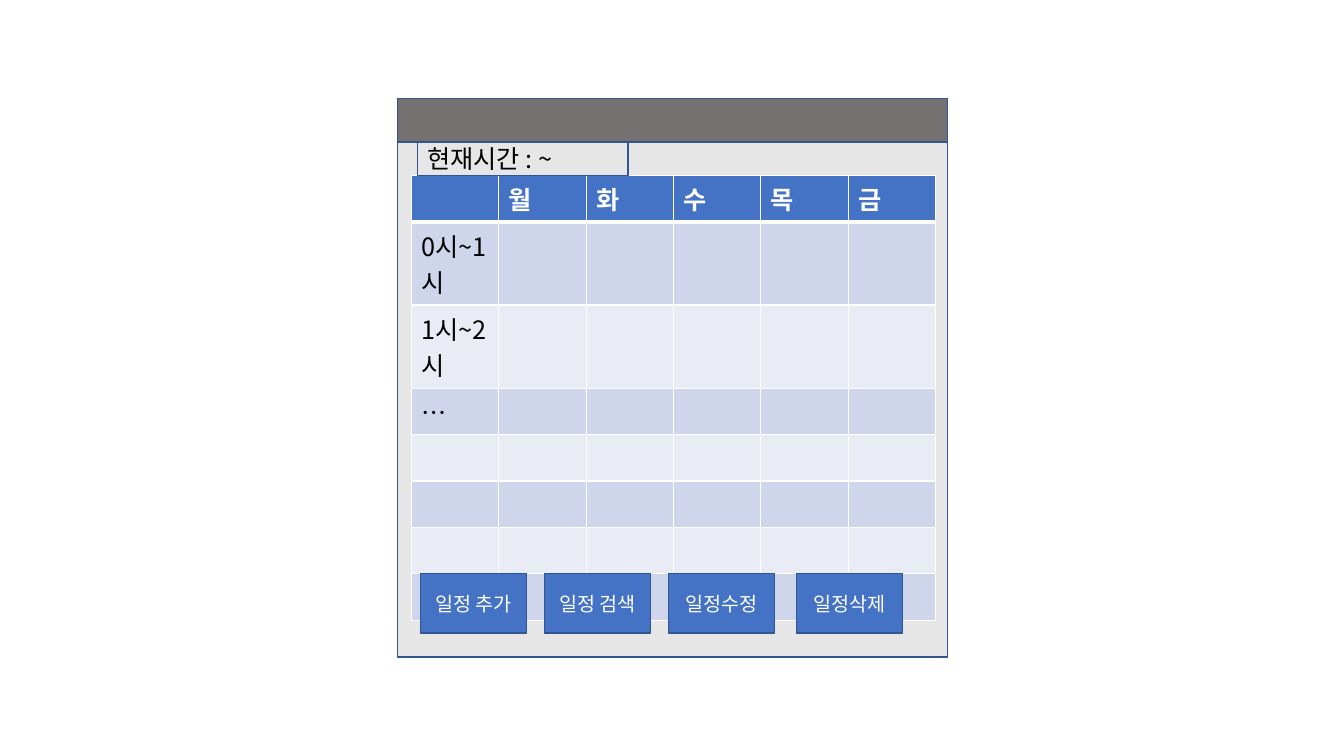
from lxml import etree
from pptx import Presentation
from pptx import util as u
from pptx.dml.color import RGBColor
from pptx.enum import shapes, text
from pptx.oxml.ns import qn

FONT = "Noto Sans CJK KR"
WHITE, BLACK, BLUE, EDGE = "FFFFFF", "000000", "4472C4", "325491"
PANEL, TITLE_BAR = "E7E6E6", "767171"
BANDS = ["CFD5EA", "E9EBF5"]
DAYS = ["", "월", "화", "수", "목", "금"]
HOURS = ["0시~1시", "1시~2시", "…", "", "", "", ""]
ROW_HEIGHTS = [0.45, 0.82, 0.82] + [0.46] * 5
BUTTONS = [("일정 추가", 0.23), ("일정 검색", 1.46), ("일정수정", 2.69), ("일정삭제", 3.96)]


def color(value):
    return RGBColor.from_string(value)


def write(frame, words, size=18, ink=BLACK, bold=False, align=text.PP_ALIGN.LEFT):
    para = frame.paragraphs[0]
    para.alignment = align
    span = para.add_run()
    span.text = words
    span.font.size = u.Pt(size)
    span.font.bold = bold
    span.font.name = FONT
    span.font.color.rgb = color(ink)
    etree.SubElement(span.font._element, qn("a:ea"), typeface=FONT)


def add_box(page, box, fill, words="", **style):
    shape = page.shapes.add_shape(shapes.MSO_SHAPE.RECTANGLE, *map(u.Inches, box))
    shape.shadow.inherit = False
    shape.fill.solid()
    shape.fill.fore_color.rgb = color(fill)
    shape.line.color.rgb = color(EDGE)
    shape.line.width = u.Pt(1)
    if words:
        shape.text_frame.word_wrap = True
        shape.text_frame.vertical_anchor = text.MSO_ANCHOR.MIDDLE
        write(shape.text_frame, words, **style)


def set_borders(cell, **widths):
    props = cell._tc.get_or_add_tcPr()
    for side in "LRTB":
        width = u.Pt(widths.get(side, 1))
        line = etree.SubElement(props, qn(f"a:ln{side}"), w=str(width))
        fill = etree.SubElement(line, qn("a:solidFill"))
        etree.SubElement(fill, qn("a:srgbClr"), val=WHITE)


def add_timetable(page, left, top, width):
    rows = [DAYS] + [[hour] + [""] * (len(DAYS) - 1) for hour in HOURS]
    frame = page.shapes.add_table(
        len(rows), len(DAYS), *map(u.Inches, (left, top, width, sum(ROW_HEIGHTS))))
    table = frame.table
    for column in table.columns:
        column.width = u.Inches(width / len(DAYS))
    for r, (values, height) in enumerate(zip(rows, ROW_HEIGHTS)):
        table.rows[r].height = u.Inches(height)
        header = r == 0
        for c, value in enumerate(values):
            cell = table.cell(r, c)
            set_borders(cell, B=3 if header else 1, T=3 if r == 1 else 1)
            cell.fill.solid()
            cell.fill.fore_color.rgb = color(BLUE if header else BANDS[(r - 1) % 2])
            if value:
                write(cell.text_frame, value, ink=WHITE if header else BLACK, bold=header)


def add_buttons(page, left, top):
    for words, offset in BUTTONS:
        add_box(page, (left + offset, top, 1.05, 0.59), BLUE, words,
                size=14, ink=WHITE, align=text.PP_ALIGN.CENTER)


def add_window(page, left, top, width, height):
    bar = 0.43
    add_box(page, (left, top, width, height), PANEL)
    add_box(page, (left, top, width, bar), TITLE_BAR)
    add_timetable(page, left + 0.14, top + 0.76, 5.2)
    add_buttons(page, left, top + 4.71)
    add_box(page, (left + 0.2, top + bar, 2.09, 0.33), PANEL, "현재시간 : ~")


def main():
    deck = Presentation()
    deck.slide_width, deck.slide_height = u.Inches(13.33), u.Inches(7.5)
    page = deck.slides.add_slide(deck.slide_layouts[6])
    add_window(page, 3.94, 0.98, 5.46, 5.54)
    deck.save("out.pptx")


if __name__ == "__main__":
    main()
